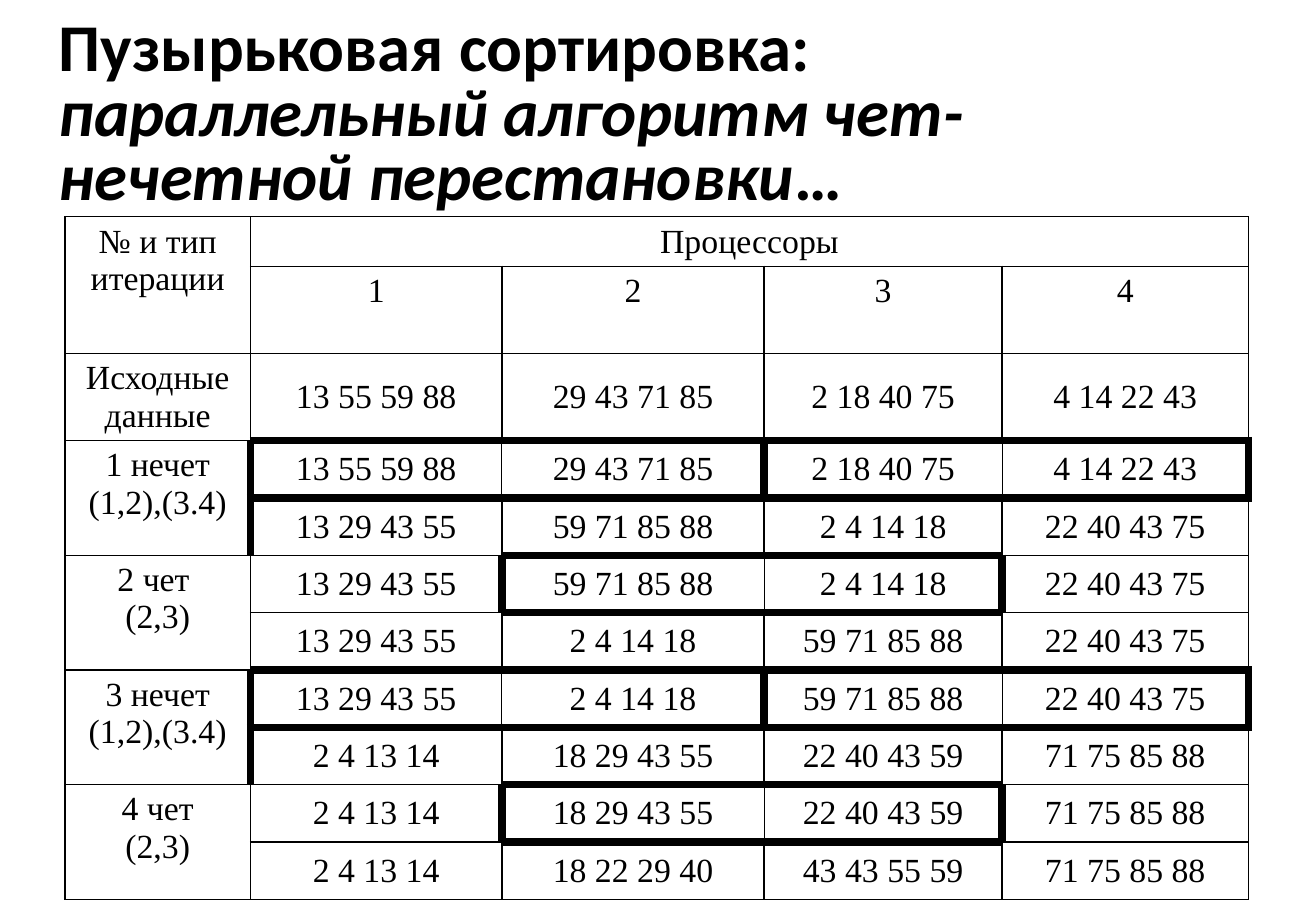
"""Builds a slide with a table of the parallel odd-even transposition sort."""
from lxml import etree
from pptx import Presentation
from pptx import util as u
from pptx.dml import color
from pptx.enum import text
from pptx.oxml import ns

BLACK = "000000"
COLUMN_WIDTHS = [110, 149, 155.5, 141, 146]
ROW_HEIGHTS = [29, 51.5, 51.5] + [34] * 8
TITLE_RUNS = [
    ("параллельный алгоритм чет-нечетной перестановки", True),
    ("…", False),
]
LABELS = {
    0: "№ и тип итерации",
    2: "Исходные данные",
    3: "1 нечет (1,2),(3.4)",
    5: "2 чет \n(2,3)",
    7: "3 нечет (1,2),(3.4)",
    9: "4 чет\n(2,3)",
}
PROCESSOR_DATA = [
    ["13 55 59 88", "29 43 71 85", "2 18 40 75", "4 14 22 43"],
    ["13 55 59 88", "29 43 71 85", "2 18 40 75", "4 14 22 43"],
    ["13 29 43 55", "59 71 85 88", "2 4 14 18", "22 40 43 75"],
    ["13 29 43 55", "59 71 85 88", "2 4 14 18", "22 40 43 75"],
    ["13 29 43 55", "2 4 14 18", "59 71 85 88", "22 40 43 75"],
    ["13 29 43 55", "2 4 14 18", "59 71 85 88", "22 40 43 75"],
    ["2 4 13 14", "18 29 43 55", "22 40 43 59", "71 75 85 88"],
    ["2 4 13 14", "18 29 43 55", "22 40 43 59", "71 75 85 88"],
    ["2 4 13 14", "18 22 29 40", "43 43 55 59", "71 75 85 88"],
]
ODD_PAIRS = [(1, 2), (3, 4)]
EVEN_PAIRS = [(2, 3)]
EXCHANGES = {3: ODD_PAIRS, 5: EVEN_PAIRS, 7: ODD_PAIRS, 9: EVEN_PAIRS}
SIDES = {"lnL": (0, -1), "lnR": (0, 1), "lnT": (-1, 0), "lnB": (1, 0)}


def rgb(value):
    return color.RGBColor.from_string(value)


def apply_format(target, values):
    for name, value in values.items():
        setattr(target, name, value)


def style_font(run, values):
    apply_format(run.font, values)
    run.font.color.rgb = rgb(BLACK)


def add_title(slide):
    title = slide.shapes.title
    apply_format(title, {"left": u.Pt(27.5), "top": u.Pt(16),
                         "width": u.Pt(715), "height": u.Pt(106.5)})
    apply_format(title.text_frame, {
        "word_wrap": True,
        "auto_size": text.MSO_AUTO_SIZE.NONE,
        "vertical_anchor": text.MSO_ANCHOR.MIDDLE,
    })
    heading = title.text_frame.paragraphs[0]
    apply_format(heading, {"alignment": text.PP_ALIGN.LEFT,
                           "line_spacing": 0.8})
    heading_font = {"name": "Calibri", "size": u.Pt(39.6), "bold": True}
    topic = heading.add_run()
    topic.text = "Пузырьковая сортировка: "
    style_font(topic, heading_font)
    heading.add_line_break()
    for wording, italic in TITLE_RUNS:
        part = heading.add_run()
        part.text = wording
        style_font(part, {**heading_font, "italic": italic})


def write_cell(cell, wording, anchor=text.MSO_ANCHOR.TOP, hanging=0):
    cell.text = wording
    cell.vertical_anchor = anchor
    for line in cell.text_frame.paragraphs:
        line.alignment = text.PP_ALIGN.CENTER
        if hanging:
            properties = line._p.get_or_add_pPr()
            properties.set("marL", str(u.Pt(hanging)))
            properties.set("indent", str(-u.Pt(hanging)))
        for run in line.runs:
            style_font(run, {"name": "Times New Roman", "size": u.Pt(20)})


def exchange_at(row, column):
    for pair in EXCHANGES.get(row, []):
        if column in pair:
            return row, pair
    return None


def border_width(row, column, side):
    if column == 0 and row - 1 in EXCHANGES:
        row -= 1
    row_step, column_step = SIDES[side]
    own = exchange_at(row, column)
    neighbour = exchange_at(row + row_step, column + column_step)
    if own != neighbour:
        return 5
    return 0.75 if own else 1


def draw_borders(cell, row, column):
    properties = cell._tc.get_or_add_tcPr()
    for side in SIDES:
        edge = etree.SubElement(properties, ns.qn(f"a:{side}"))
        edge.set("w", str(u.Pt(border_width(row, column, side))))
        fill = etree.SubElement(edge, ns.qn("a:solidFill"))
        etree.SubElement(fill, ns.qn("a:srgbClr")).set("val", BLACK)
    cell.fill.background()


def add_sorting_table(slide):
    table = slide.shapes.add_table(
        len(ROW_HEIGHTS), len(COLUMN_WIDTHS), u.Pt(38.5), u.Pt(128.5),
        u.Pt(sum(COLUMN_WIDTHS)), u.Pt(sum(ROW_HEIGHTS))).table
    apply_format(table, {"first_row": False, "horz_banding": False})
    for column, width in zip(table.columns, COLUMN_WIDTHS):
        column.width = u.Pt(width)
    for row, height in zip(table.rows, ROW_HEIGHTS):
        row.height = u.Pt(height)

    for row, label in LABELS.items():
        write_cell(table.cell(row, 0), label)
    write_cell(table.cell(0, 1), "Процессоры", hanging=27)
    for processor in range(1, 5):
        write_cell(table.cell(1, processor), str(processor), hanging=27)
    for row, blocks in enumerate(PROCESSOR_DATA, 2):
        for processor, block in enumerate(blocks, 1):
            write_cell(table.cell(row, processor), block,
                       text.MSO_ANCHOR.MIDDLE, 27)

    for row in range(len(ROW_HEIGHTS)):
        for column in range(len(COLUMN_WIDTHS)):
            draw_borders(table.cell(row, column), row, column)
    table.cell(0, 1).merge(table.cell(0, 4))
    for row in (0, *EXCHANGES):
        table.cell(row, 0).merge(table.cell(row + 1, 0))


def main():
    deck = Presentation()
    apply_format(deck, {"slide_width": u.Pt(780), "slide_height": u.Pt(540)})
    slide = deck.slides.add_slide(deck.slide_layouts[5])
    add_title(slide)
    add_sorting_table(slide)
    deck.save("out.pptx")


if __name__ == "__main__":
    main()
